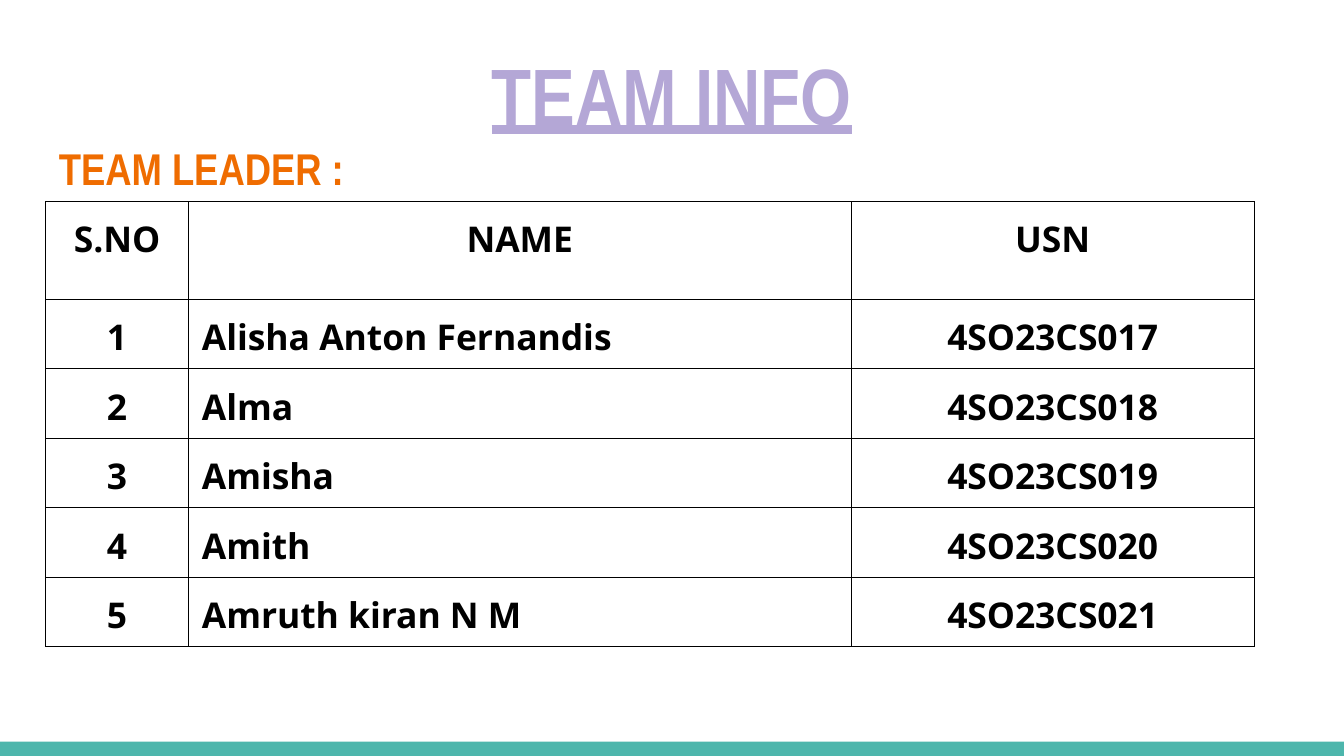
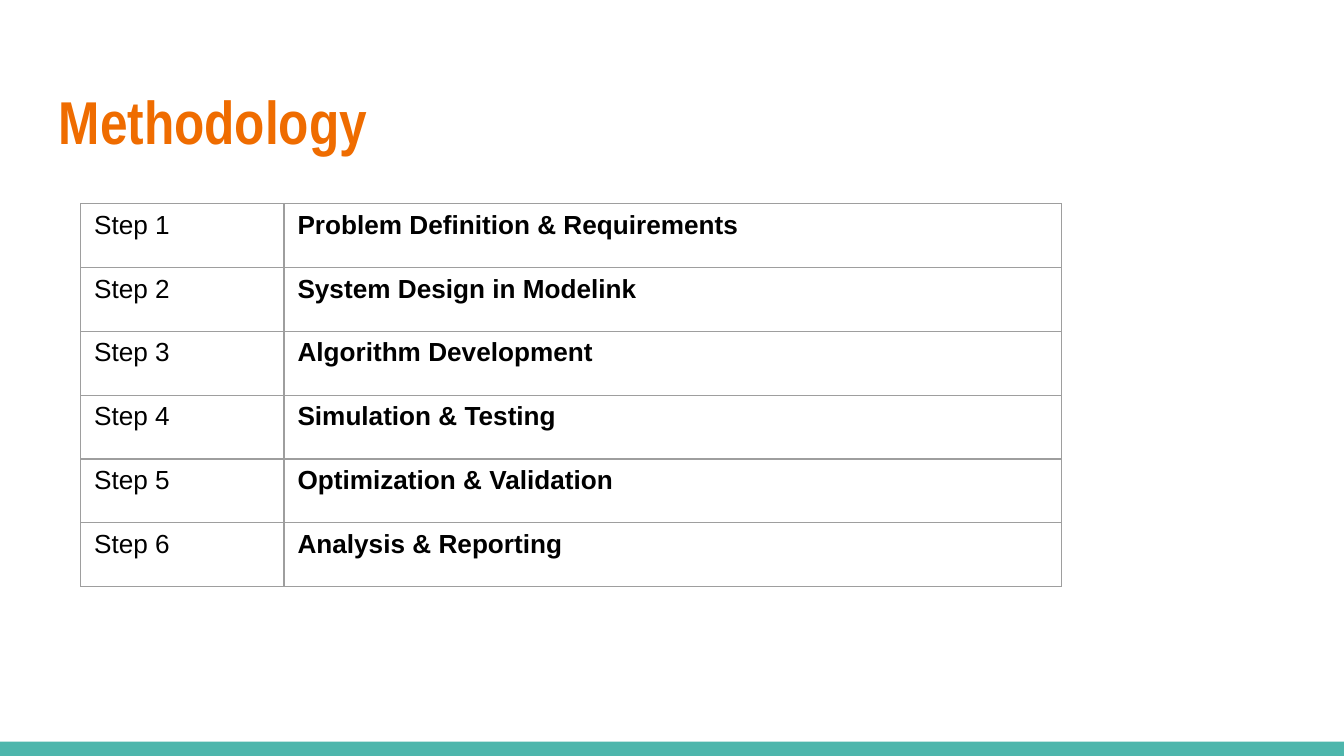
from lxml import etree
from pptx import Presentation
from pptx.dml.color import RGBColor
from pptx.enum.shapes import MSO_SHAPE
from pptx.enum.text import MSO_ANCHOR, PP_ALIGN
from pptx.oxml.ns import qn
from pptx.util import Pt

RECTANGLE = MSO_SHAPE.RECTANGLE
TOP = MSO_ANCHOR.TOP
LEFT, CENTER = PP_ALIGN.LEFT, PP_ALIGN.CENTER

SLIDE_W, SLIDE_H = 720, 405
BAND_H = 7.7
MARGIN = 24.5
TITLE_W = SLIDE_W - 2 * MARGIN
TITLE_BOTTOM = 90.7
INSET = 7.2
TITLE_FONT = "Arial Narrow"

COLORS = {
    "background": "FFFFFF",
    "band": "4DB6AC",
    "headline": "B4A7D6",
    "accent": "EF6C00",
    "text": "000000",
    "team_border": "000000",
    "steps_border": "9E9E9E",
}

TEAM = [
    ("S.NO", "NAME", "USN"),
    ("1", "Alisha Anton Fernandis", "4SO23CS017"),
    ("2", "Alma", "4SO23CS018"),
    ("3", "Amisha", "4SO23CS019"),
    ("4", "Amith", "4SO23CS020"),
    ("5", "Amruth kiran N M", "4SO23CS021"),
]

STEPS = [
    "Problem Definition & Requirements",
    "System Design in Modelink",
    "Algorithm Development",
    "Simulation & Testing",
    "Optimization & Validation",
    "Analysis & Reporting",
]


def rgb(name):
    return RGBColor.from_string(COLORS[name])


def style_paragraph(paragraph, font_name, size, color, bold=False, align=LEFT):
    paragraph.alignment = align
    font = paragraph.font
    font.name = font_name
    font.size = Pt(size)
    font.bold = bold
    font.color.rgb = rgb(color)


def add_base_slide(prs):
    """Add a blank slide with the shared background and bottom band."""
    slide = prs.slides.add_slide(prs.slide_layouts[6])
    slide.background.fill.solid()
    slide.background.fill.fore_color.rgb = rgb("background")
    band = slide.shapes.add_shape(
        RECTANGLE, 0, Pt(SLIDE_H - BAND_H), Pt(SLIDE_W), Pt(BAND_H))
    band.shadow.inherit = False
    band.fill.solid()
    band.fill.fore_color.rgb = rgb("band")
    band.line.fill.background()
    return slide


def add_title(slide, top, lines):
    """Place title lines of (text, size, color, align, underline)."""
    box = slide.shapes.add_textbox(
        Pt(MARGIN), Pt(top), Pt(TITLE_W), Pt(TITLE_BOTTOM - top))
    frame = box.text_frame
    frame.word_wrap = True
    frame.vertical_anchor = TOP
    frame.margin_left = frame.margin_right = frame.margin_bottom = Pt(INSET)
    frame.margin_top = Pt(10)
    frame.text = "\n".join(line[0] for line in lines)
    for paragraph, (_, size, color, align, underline) in zip(frame.paragraphs, lines):
        style_paragraph(paragraph, TITLE_FONT, size, color, True, align)
        paragraph.font.underline = underline


def set_borders(cell, color, width=0.75):
    properties = cell._tc.get_or_add_tcPr()
    for side in ("lnL", "lnR", "lnT", "lnB"):
        line = etree.SubElement(properties, qn(f"a:{side}"), w=str(Pt(width)))
        fill = etree.SubElement(line, qn("a:solidFill"))
        etree.SubElement(fill, qn("a:srgbClr"), val=COLORS[color])


def add_grid(slide, left, top, widths, heights, rows, border, inset_y, style_cell):
    """Add a plain bordered table; style_cell(paragraph, row, column) sets its text."""
    table = slide.shapes.add_table(
        len(rows), len(widths), Pt(left), Pt(top),
        Pt(sum(widths)), Pt(sum(heights))).table
    table.first_row = table.horz_banding = False
    for column, width in zip(table.columns, widths):
        column.width = Pt(width)
    for r, (values, height) in enumerate(zip(rows, heights)):
        table.rows[r].height = Pt(height)
        for c, value in enumerate(values):
            cell = table.cell(r, c)
            cell.text = value
            cell.vertical_anchor = TOP
            cell.margin_left = cell.margin_right = Pt(INSET)
            cell.margin_top = cell.margin_bottom = Pt(inset_y)
            set_borders(cell, border)
            cell.fill.background()
            style_cell(cell.text_frame.paragraphs[0], r, c)


def style_team_cell(paragraph, row, column):
    align = LEFT if row > 0 and column == 1 else CENTER
    style_paragraph(paragraph, "Open Sans", 19, "text", True, align)


def style_step_cell(paragraph, row, column):
    style_paragraph(paragraph, "Arial", 14, "text", column == 1)


def build_team_slide(prs):
    slide = add_base_slide(prs)
    add_title(slide, 14.4, [
        ("TEAM INFO", 42.8, "headline", CENTER, True),
        ("TEAM LEADER :", 23.8, "accent", LEFT, False),
    ])
    heights = [52.4] + [37.2] * (len(TEAM) - 1)
    add_grid(slide, MARGIN, 108, [76.5, 355, 216], heights, TEAM,
             "team_border", INSET, style_team_cell)


def build_methodology_slide(prs):
    slide = add_base_slide(prs)
    add_title(slide, 35.3, [("Methodology", 32.4, "accent", LEFT, False)])
    rows = [(f"Step {number}", step) for number, step in enumerate(STEPS, 1)]
    add_grid(slide, 43.2, 109.2, [109, 416.6], [34.2] * len(rows), rows,
             "steps_border", INSET / 2, style_step_cell)


def main():
    prs = Presentation()
    prs.slide_width, prs.slide_height = Pt(SLIDE_W), Pt(SLIDE_H)
    build_team_slide(prs)
    build_methodology_slide(prs)
    prs.save("out.pptx")


if __name__ == "__main__":
    main()
